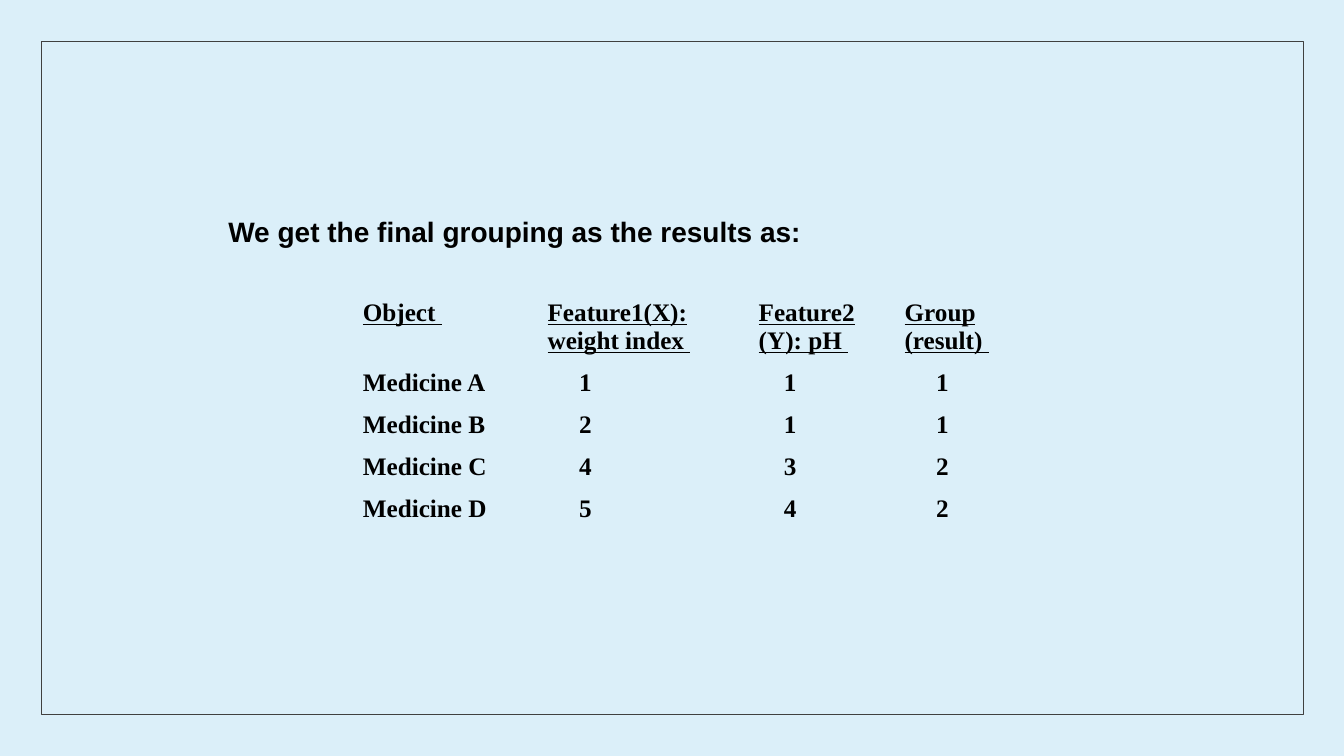
from pptx import Presentation
from pptx import util as u
from pptx.dml.color import RGBColor
from pptx.enum import shapes, text
from pptx.oxml import ns

PALE_BLUE = RGBColor(0xDB, 0xEF, 0xF9)
DARK_GREY = RGBColor(0x40, 0x40, 0x40)
BLACK = RGBColor(0, 0, 0)
PLAIN_TABLE = "{2D5ABB26-0587-4C30-8999-92F81FD0307C}"

HEADINGS = [
    ["Object "],
    ["Feature1(X):", "weight index "],
    ["Feature2", "(Y): pH "],
    ["Group", "(result) "],
]
MEDICINES = [
    ("Medicine A", 1, 1, 1),
    ("Medicine B", 2, 1, 1),
    ("Medicine C", 4, 3, 2),
    ("Medicine D", 5, 4, 2),
]
COLUMN_WIDTHS = [176, 201, 139, 156]
COLUMN_INDENTS = [0, 30, 24, 30]
HEADING_HEIGHT = 67
ROW_HEIGHT = 40


def px(length):
    return u.Emu(length * 9525)


def add_span(para, words, font, size, underline=False):
    span = para.add_run()
    span.text = words
    span.font.name = font
    span.font.size = u.Pt(size)
    span.font.bold = True
    span.font.underline = underline
    span.font.color.rgb = BLACK


def add_frame(page):
    frame = page.shapes.add_shape(
        shapes.MSO_SHAPE.RECTANGLE, px(39), px(39), px(1202), px(641))
    frame.shadow.inherit = False
    frame.fill.background()
    frame.line.color.rgb = DARK_GREY
    frame.line.width = u.Pt(0.5)


def add_statement(page, words):
    box = page.shapes.add_textbox(px(208), px(200), px(768), px(41))
    box.text_frame.word_wrap = True
    add_span(box.text_frame.paragraphs[0], words, "Arial", 20)


def fill_cell(cell, lines, indent=0, underline=False):
    cell.fill.background()
    for index, words in enumerate(lines):
        frame = cell.text_frame
        para = frame.add_paragraph() if index else frame.paragraphs[0]
        para.alignment = text.PP_ALIGN.JUSTIFY
        para._p.get_or_add_pPr().set("marL", str(px(indent)))
        add_span(para, words, "Times New Roman", 18, underline)


def add_grouping_table(page):
    row_count = len(MEDICINES) + 1
    height = HEADING_HEIGHT + ROW_HEIGHT * len(MEDICINES)
    table = page.shapes.add_table(
        row_count, len(HEADINGS), px(336), px(280),
        px(sum(COLUMN_WIDTHS)), px(height)).table
    table.first_row = False
    table.horz_banding = False
    table._tbl.tblPr.find(ns.qn("a:tableStyleId")).text = PLAIN_TABLE
    for column, width in zip(table.columns, COLUMN_WIDTHS):
        column.width = px(width)
    for index, row in enumerate(table.rows):
        row.height = px(ROW_HEIGHT if index else HEADING_HEIGHT)
    for column, lines in enumerate(HEADINGS):
        fill_cell(table.cell(0, column), lines, underline=True)
    for row, values in enumerate(MEDICINES, 1):
        for column, value in enumerate(values):
            fill_cell(table.cell(row, column), [str(value)], COLUMN_INDENTS[column])


def main():
    deck = Presentation()
    deck.slide_width, deck.slide_height = px(1280), px(720)
    page = deck.slides.add_slide(deck.slide_layouts[6])
    page.background.fill.solid()
    page.background.fill.fore_color.rgb = PALE_BLUE
    add_frame(page)
    add_grouping_table(page)
    add_statement(page, "We get the final grouping as the results as:")
    deck.save("out.pptx")


if __name__ == "__main__":
    main()
